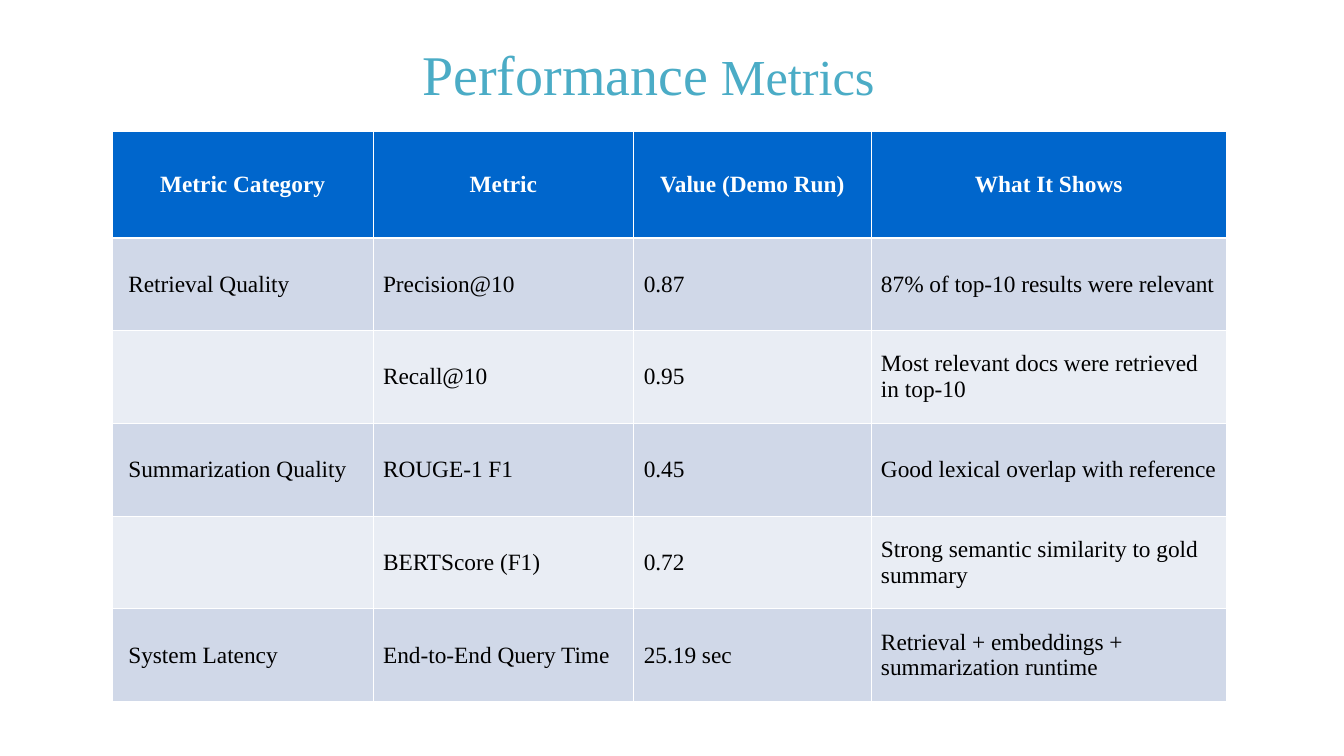
from lxml import etree
from pptx import Presentation
from pptx.dml.color import RGBColor
from pptx.enum import text
from pptx.oxml.ns import qn
from pptx.util import Inches, Pt

# Content
TITLE = [("Performance", 60), (" Metrics", 54)]
ROWS = [
    ("Metric Category", "Metric", "Value (Demo Run)", "What It Shows"),
    ("Retrieval Quality", "Precision@10", "0.87", "87% of top-10 results were relevant"),
    ("", "Recall@10", "0.95", "Most relevant docs were retrieved in top-10"),
    ("Summarization Quality", "ROUGE-1 F1", "0.45", "Good lexical overlap with reference"),
    ("", "BERTScore (F1)", "0.72", "Strong semantic similarity to gold summary"),
    ("System Latency", "End-to-End Query Time", "25.19 sec",
     "Retrieval + embeddings + summarization runtime"),
]

# Format
FONT = "Times New Roman"
COLORS = {"title": "4BACC6", "header": "0066CC", "odd": "D0D8E8",
          "even": "E9EDF4", "white": "FFFFFF", "black": "000000"}
COL_WIDTHS = [3.88, 3.88, 3.53, 5.29]
ROW_HEIGHTS = [1.58] + [1.38] * (len(ROWS) - 1)


def add_text(p, words, size=25, color="black", bold=False, align=text.PP_ALIGN.LEFT):
    p.alignment = align
    r = p.add_run()
    r.text = words
    r.font.name = FONT
    r.font.size = Pt(size)
    r.font.bold = bold
    r.font.color.rgb = RGBColor.from_string(COLORS[color])


def set_borders(cell, **widths):
    tc_pr = cell._tc.get_or_add_tcPr()
    for side in "LRTB":
        ln = etree.SubElement(tc_pr, qn(f"a:ln{side}"), w=str(Pt(widths.get(side, 1))))
        fill = etree.SubElement(ln, qn("a:solidFill"))
        etree.SubElement(fill, qn("a:srgbClr"), val=COLORS["white"])


prs = Presentation()
prs.slide_width, prs.slide_height = Inches(20), Inches(11.25)
s = prs.slides.add_slide(prs.slide_layouts[6])

# Metrics table
table = s.shapes.add_table(len(ROWS), len(COL_WIDTHS), Inches(1.67), Inches(1.96),
                           Inches(sum(COL_WIDTHS)), Inches(sum(ROW_HEIGHTS))).table
for column, width in zip(table.columns, COL_WIDTHS):
    column.width = Inches(width)
for row, height in zip(table.rows, ROW_HEIGHTS):
    row.height = Inches(height)

for i, values in enumerate(ROWS):
    header = i == 0
    band = "header" if header else "odd" if i % 2 else "even"
    for j, value in enumerate(values):
        cell = table.cell(i, j)
        cell.vertical_anchor = text.MSO_ANCHOR.MIDDLE
        cell.margin_left = Inches(0.24 if j == 0 and not header else 0.15)
        cell.margin_right = Inches(0.15)
        cell.margin_top = cell.margin_bottom = Inches(0.07)
        set_borders(cell, T=3 if i == 1 else 1, B=3 if header else 1)
        cell.fill.solid()
        cell.fill.fore_color.rgb = RGBColor.from_string(COLORS[band])
        if value:
            add_text(cell.text_frame.paragraphs[0], value, bold=header,
                     color="white" if header else "black",
                     align=text.PP_ALIGN.CENTER if header else text.PP_ALIGN.LEFT)

# Title
tf = s.shapes.add_textbox(Inches(6.15), Inches(0.21), Inches(7), Inches(1.31)).text_frame
tf.word_wrap = False
tf.auto_size = text.MSO_AUTO_SIZE.SHAPE_TO_FIT_TEXT
p = tf.paragraphs[0]
p.line_spacing = Pt(96)
for words, size in TITLE:
    add_text(p, words, size=size, color="title", align=text.PP_ALIGN.CENTER)

prs.save("out.pptx")
